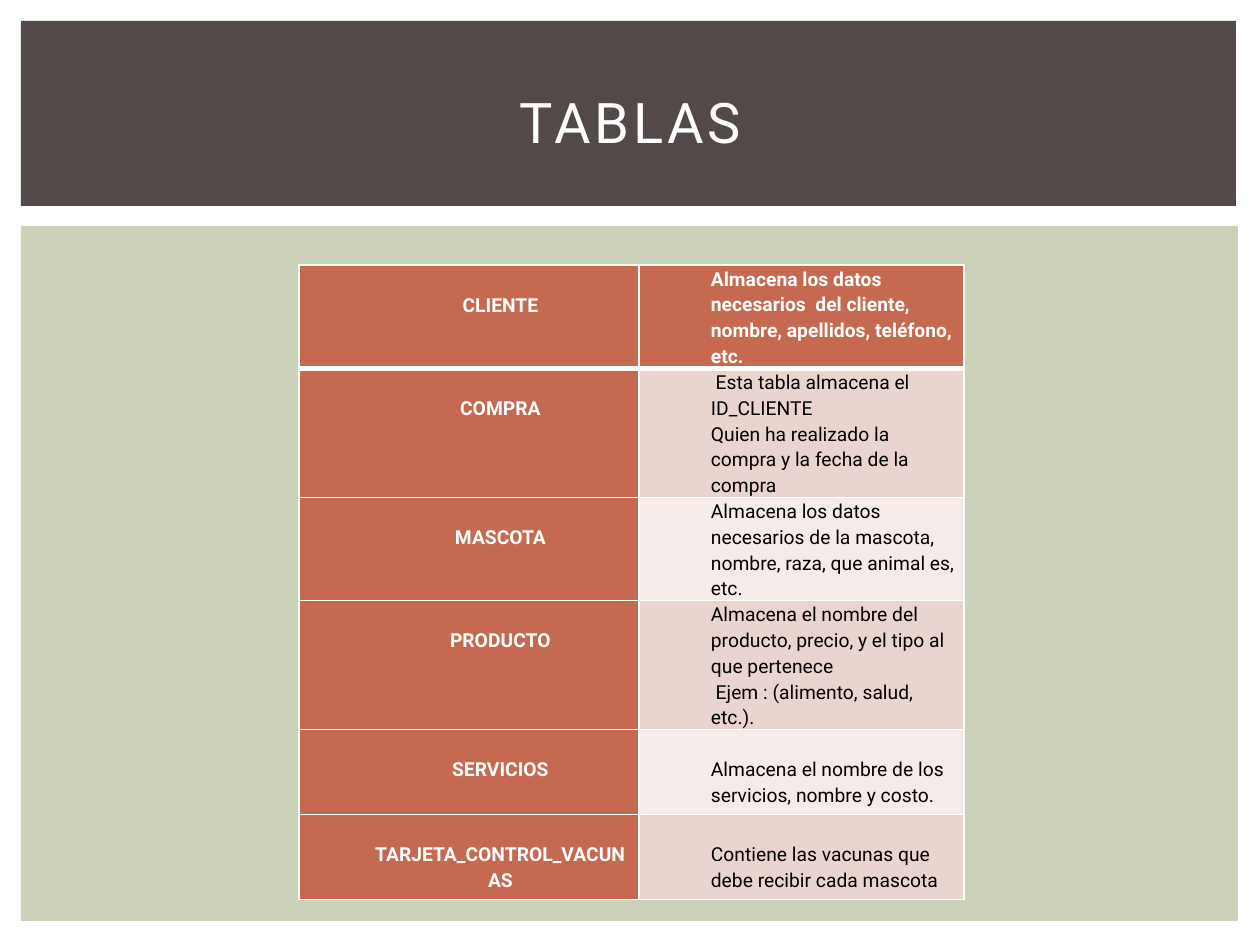
import pptx
import pptx.util
import pptx.dml.color
import pptx.enum.shapes
import pptx.enum.text
import pptx.oxml
import pptx.oxml.ns

SCALE = 914400 / 126  # EMU in one px
ALIGN = pptx.enum.text.PP_ALIGN
MIDDLE = pptx.enum.text.MSO_ANCHOR.MIDDLE
THEME = {
    "font": "Roboto", "head": 32, "body": 11,
    "white": "FFFFFF", "black": "000000",
    "sage": "CCD1B9", "brown": "534949",
    "rust": "C66951", "bands": ("F5EBE9", "EAD4D0"),
}


def px(num):
    return pptx.util.Emu(round(num * SCALE))


def write(frame, text, size, color, bold=False, align=ALIGN.LEFT,
          lead=None, indent=0, track=0):
    """Fill a text frame, one paragraph for each line of text."""
    for i, line in enumerate(text.split("\n")):
        para = frame.add_paragraph() if i else frame.paragraphs[0]
        para.alignment = align
        para.line_spacing = lead
        if indent:
            props = para._p.get_or_add_pPr()
            props.set("marL", str(px(indent)))
            props.set("indent", "0")
        run = para.add_run()
        run.text = line
        font = run.font
        font.name = THEME["font"]
        font.size = pptx.util.Pt(size)
        font.bold = bold
        font.color.rgb = pptx.dml.color.RGBColor.from_string(color)
        if track:
            run._r.get_or_add_rPr().set("spc", str(track * 100))


deck = pptx.Presentation()
deck.slide_width, deck.slide_height = px(1260), px(945)
slide = deck.slides.add_slide(deck.slide_layouts[5])
shapes = slide.shapes
title = shapes.title

# Background panels
panels = [((21, 226, 1217, 695), "sage"), ((21, 21, 1215, 185), "brown")]
for box, tone in panels:
    panel = shapes.add_shape(pptx.enum.shapes.MSO_SHAPE.RECTANGLE,
                             *map(px, box))
    panel.shadow.inherit = False
    panel.fill.solid()
    panel.fill.fore_color.rgb = pptx.dml.color.RGBColor.from_string(THEME[tone])
    panel.line.fill.background()

# Title, in front of the panels
shapes._spTree.append(title._element)
title.left, title.top, title.width, title.height = map(px, (53, 49, 1155, 145))
title.text_frame.vertical_anchor = MIDDLE
write(title.text_frame, "TABLAS", THEME["head"], THEME["white"],
      align=ALIGN.CENTER, track=2)

# Table: name, description, row height, px above the description
LINE = 26
rows = [
    ("CLIENTE", "Almacena los datos necesarios  del cliente, nombre, "
     "apellidos, teléfono, etc.", 103, 0),
    ("COMPRA", " Esta tabla almacena el ID_CLIENTE\n"
     "Quien ha realizado la compra y la fecha de la compra", 129, 0),
    ("MASCOTA", "Almacena los datos necesarios de la mascota, nombre, raza, "
     "que animal es, etc.", 103, 0),
    ("PRODUCTO", "Almacena el nombre del producto, precio, y el tipo al que "
     "pertenece\n Ejem : (alimento, salud, etc.).", 129, 0),
    ("SERVICIOS", "Almacena el nombre de los servicios, nombre y costo.",
     85, LINE),
    ("TARJETA_CONTROL_VACUNAS",
     "Contiene las vacunas que debe recibir cada mascota", 85, LINE),
]
widths = (340, 325)
total = sum(row[2] for row in rows)
table = shapes.add_table(len(rows), 2, px(299), px(265), px(sum(widths)),
                         px(total)).table
for col, width in zip(table.columns, widths):
    col.width = px(width)

for r, (name, text, height, gap) in enumerate(rows):
    table.rows[r].height = px(height)
    for c, (words, top) in enumerate(((name, LINE), (text, gap))):
        cell = table.cell(r, c)
        strong = r == 0 or c == 0
        cell.margin_left = cell.margin_right = px(9)
        cell.margin_top, cell.margin_bottom = px(top), 0
        write(cell.text_frame, words, THEME["body"],
              THEME["white"] if strong else THEME["black"], bold=strong,
              align=ALIGN.LEFT if c else ALIGN.CENTER, lead=1.15, indent=63)
        fill = THEME["rust"] if strong else THEME["bands"][r % 2]
        cell.fill.solid()
        cell.fill.fore_color.rgb = pptx.dml.color.RGBColor.from_string(fill)

        # White borders, thick below the first row
        props = cell._tc.get_or_add_tcPr()
        for i, side in enumerate("LRTB"):
            thick = (r, side) in ((0, "B"), (1, "T"))
            width = pptx.util.Pt(3 if thick else 1)
            props.insert(i, pptx.oxml.parse_xml(
                f'<a:ln{side} {pptx.oxml.ns.nsdecls("a")} w="{width}">'
                f'<a:solidFill><a:srgbClr val="{THEME["white"]}"/>'
                f'</a:solidFill></a:ln{side}>'))

deck.save("out.pptx")
